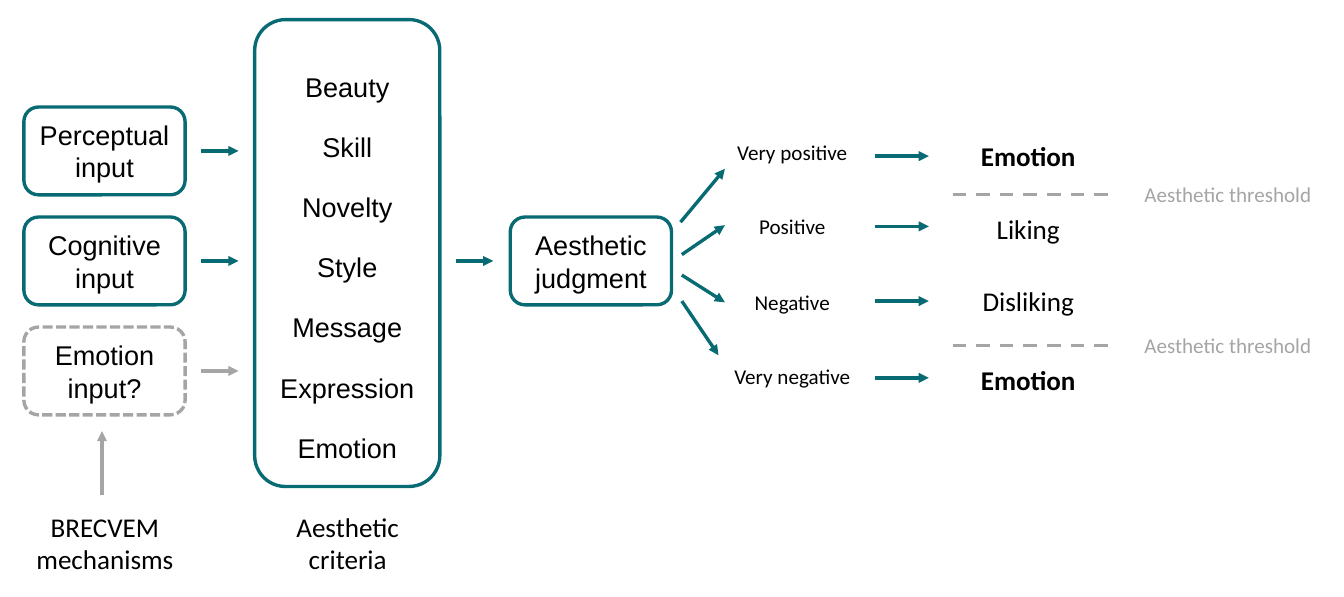
from pptx import Presentation
from pptx.util import Cm, Pt
from pptx.dml.color import RGBColor
from pptx.enum.dml import MSO_LINE
from pptx.enum.shapes import MSO_CONNECTOR, MSO_SHAPE
from pptx.enum.text import MSO_ANCHOR, MSO_AUTO_SIZE, PP_ALIGN
from pptx.oxml.ns import qn
from lxml.etree import SubElement

HUES = {"teal": "086A72", "gray": "A5A5A5", "black": "000000", "white": "FFFFFF"}
INPUTS = [("Perceptual input", "teal", None), ("Cognitive input", "teal", None),
          ("Emotion input?", "gray", MSO_LINE.SQUARE_DOT)]
CRITERIA = ["Beauty", "Skill", "Novelty", "Style", "Message", "Expression", "Emotion"]
# label, width, label y, outcome, width, outcome y, bold, arrow y, fan start, fan end
GRADES = [
    ("Very positive", 3.12, 3.58, "Emotion", 2.74, 3.66, True, 3.66, (15.95, 5.21), (16.99, 3.96)),
    ("Positive", 2.08, 5.31, "Liking", 2.01, 5.36, False, 5.31, (15.98, 5.97), (16.99, 5.28)),
    ("Negative", 2.31, 7.09, "Disliking", 2.67, 7.06, False, 7.06, (15.98, 6.45), (16.99, 7.09)),
    ("Very negative", 3.28, 8.84, "Emotion", 2.74, 8.92, True, 8.86, (15.98, 7.06), (16.84, 8.33)),
]
LIMITS = [4.56, 8.1]
CAPTIONS = [("BRECVEM\vmechanisms", 2.46, 3.76), ("Aesthetic\ncriteria", 8.15, 2.95)]
WIDE, HIGH, LEFT, TOP, STEP = 3.78, 2.06, 0.56, 2.51, 2.58
MIDDLE = TOP + STEP + HIGH / 2

deck = Presentation()
deck.slide_width, deck.slide_height = Cm(31.5), Cm(14)
slide = deck.slides.add_slide(deck.slide_layouts[6])


def color(name):
    return RGBColor.from_string(HUES[name])


def assign(item, values):
    for key, value in values.items():
        setattr(item, key, value)


def write(frame, text, size, face, hue="black", bold=False, pitch=None):
    frame.text = text
    for para in frame.paragraphs:
        assign(para, {"alignment": PP_ALIGN.CENTER, "line_spacing": pitch})
        for run in para.runs:
            assign(run.font, {"size": Pt(size), "name": face, "bold": bold})
            run.font.color.rgb = color(hue)


def stroke(line, hue, dash=None):
    line.color.rgb = color(hue)
    assign(line, {"width": Pt(2.25), "dash_style": dash})


def box(text, left, top, wide=WIDE, high=HIGH, hue="teal", dash=None, pitch=None):
    shape = slide.shapes.add_shape(MSO_SHAPE.ROUNDED_RECTANGLE,
                                   Cm(left), Cm(top), Cm(wide), Cm(high))
    shape.shadow.inherit = False
    shape.fill.solid()
    shape.fill.fore_color.rgb = color("white")
    stroke(shape.line, hue, dash)
    shape.text_frame.vertical_anchor = MSO_ANCHOR.MIDDLE
    write(shape.text_frame, text, 18, "Arial", pitch=pitch)


def label(text, x, y, wide, high, size, hue="black", bold=False):
    frame = slide.shapes.add_textbox(Cm(x - wide / 2), Cm(y - high / 2),
                                     Cm(wide), Cm(high)).text_frame
    assign(frame, {"word_wrap": False, "auto_size": MSO_AUTO_SIZE.SHAPE_TO_FIT_TEXT})
    write(frame, text, size, "Calibri", hue, bold)


def link(start, end, hue="teal", dash=None, head=True):
    line = slide.shapes.add_connector(MSO_CONNECTOR.STRAIGHT,
                                      *(Cm(v) for v in (*start, *end)))
    stroke(line.line, hue, dash)
    props = line._element.spPr
    if head:
        SubElement(props.find(qn("a:ln")), qn("a:tailEnd"), type="triangle")
    SubElement(props, qn("a:effectLst"))


for row, (text, hue, dash) in enumerate(INPUTS):
    top = TOP + row * STEP
    box(text, LEFT, top, hue=hue, dash=dash)
    link((4.72, top + HIGH / 2), (5.59, top + HIGH / 2), hue)

box("\n".join(CRITERIA), 5.97, 0.46, 4.34, 10.95, pitch=Pt(40))
link((10.69, MIDDLE), (11.56, MIDDLE))
box("Aesthetic judgment", 11.96, TOP + STEP)

for grade, gwide, gy, result, rwide, ry, bold, y, start, end in GRADES:
    link(start, end)
    label(grade, 18.57, gy, gwide, 0.86, 14)
    link((20.5, y), (21.77, y))
    label(result, 24.1, ry, rwide, 1.02, 18, bold=bold)

for y in LIMITS:
    link((22.33, y), (25.96, y), "gray", MSO_LINE.DASH, head=False)
    label("Aesthetic threshold", 28.78, y, 4.47, 0.86, 14, "gray")

link((2.39, 11.61), (2.39, 10.11), "gray")
for text, x, wide in CAPTIONS:
    label(text, x, 12.74, wide, 1.8, 18)

deck.save("out.pptx")
